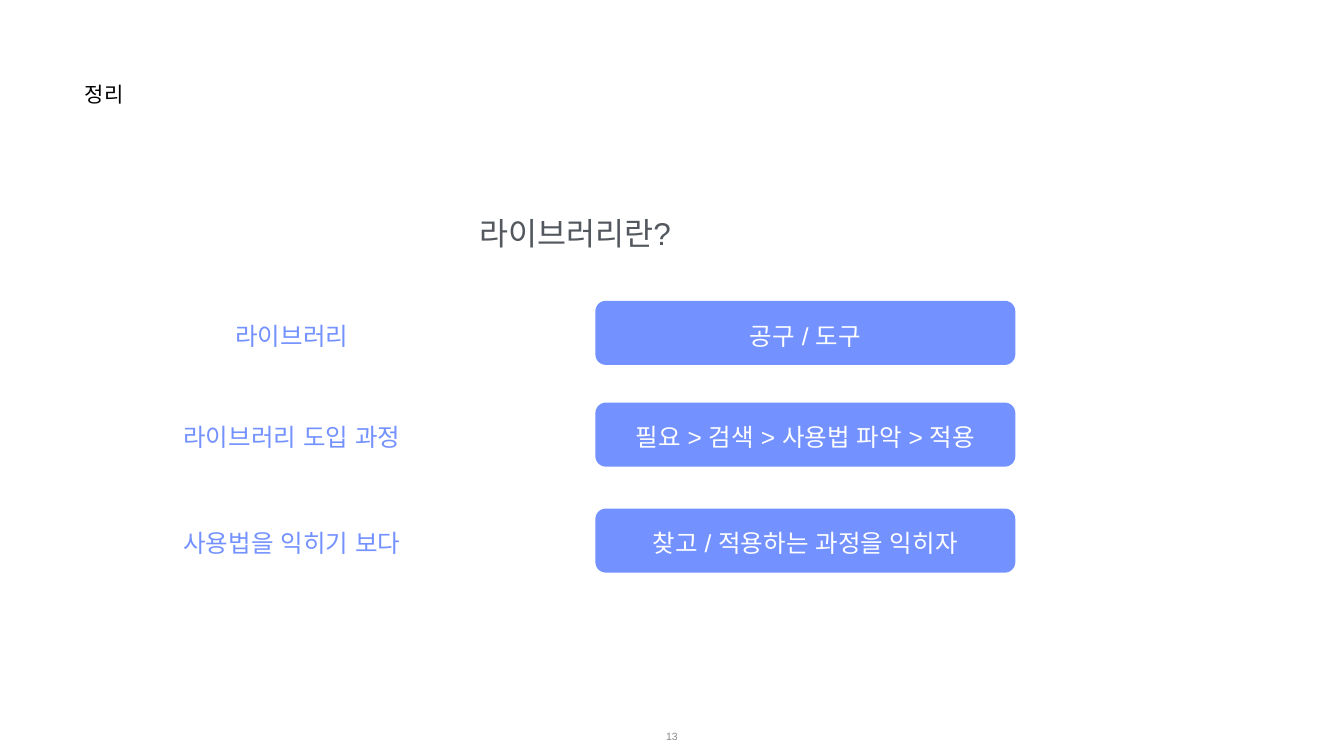
from lxml import etree
from pptx import Presentation
from pptx.dml.color import RGBColor
from pptx.enum.shapes import MSO_SHAPE
from pptx.enum.text import MSO_ANCHOR, PP_ALIGN
from pptx.oxml.ns import qn
from pptx.util import Cm, Pt

ROUNDED = MSO_SHAPE.ROUNDED_RECTANGLE
LEFT, CENTER = PP_ALIGN.LEFT, PP_ALIGN.CENTER
TOP, MIDDLE = MSO_ANCHOR.TOP, MSO_ANCHOR.MIDDLE

FONT = "Arial"
BLUE, WHITE, BLACK, DARK_GRAY, GRAY = "7391FF", "FFFFFF", "000000", "53585F", "888888"

# text, (left, top, width, height) in cm, size, colour, alignment, anchor
HEADINGS = [
    ("정리", (4.24, 4.06, 12.34, 3), 30, BLACK, LEFT, TOP),
    ("라이브러리란?", (6.71, 10.77, 44.55, 2), 45, DARK_GRAY, CENTER, TOP),
    ("13", (26.24, 36.09, 15.24, 2), 15, GRAY, CENTER, MIDDLE),
]

# top in cm, label, answer
ROWS = [
    (15.16, "라이브러리", "공구 / 도구"),
    (20.29, "라이브러리 도입 과정", "필요 > 검색 > 사용법 파악 > 적용"),
    (25.63, "사용법을 익히기 보다", "찾고 / 적용하는 과정을 익히자"),
]
LABEL_LEFT, LABEL_WIDTH = 6.77, 15.88
ANSWER_LEFT, ANSWER_WIDTH = 30, 21.16
ROW_HEIGHT, ROW_SIZE = 3.23, 35
TEXT_DROP = 0.28  # extra top inset that sets row text slightly below the middle


def color(value):
    return RGBColor.from_string(value)


def write(shape, text, size, text_color, alignment, anchor, top_inset=0.03):
    frame = shape.text_frame
    frame.word_wrap = True
    frame.vertical_anchor = anchor
    frame.margin_left = frame.margin_right = frame.margin_bottom = Cm(0.03)
    frame.margin_top = Cm(top_inset)
    paragraph = frame.paragraphs[0]
    paragraph.alignment = alignment
    run = paragraph.add_run()
    run.text = text
    run.font.size = Pt(size)
    run.font.color.rgb = color(text_color)
    run.font.name = FONT
    east_asian = etree.SubElement(run.font._element, qn("a:ea"))
    east_asian.set("typeface", FONT)


def add_text(slide, box, *style):
    write(slide.shapes.add_textbox(*map(Cm, box)), *style)


def add_answer(slide, box, *style):
    shape = slide.shapes.add_shape(ROUNDED, *map(Cm, box))
    shape.adjustments[0] = 0.164
    shape.shadow.inherit = False
    shape.fill.solid()
    shape.fill.fore_color.rgb = color(BLUE)
    shape.line.fill.background()
    write(shape, *style)


presentation = Presentation()
presentation.slide_width, presentation.slide_height = Cm(67.72), Cm(38.1)
slide = presentation.slides.add_slide(presentation.slide_layouts[6])

for text, box, *style in HEADINGS:
    add_text(slide, box, text, *style)

for top, label, answer in ROWS:
    add_text(slide, (LABEL_LEFT, top, LABEL_WIDTH, ROW_HEIGHT),
             label, ROW_SIZE, BLUE, CENTER, MIDDLE, TEXT_DROP)
    add_answer(slide, (ANSWER_LEFT, top, ANSWER_WIDTH, ROW_HEIGHT),
               answer, ROW_SIZE, WHITE, CENTER, MIDDLE, TEXT_DROP)

presentation.save("out.pptx")
